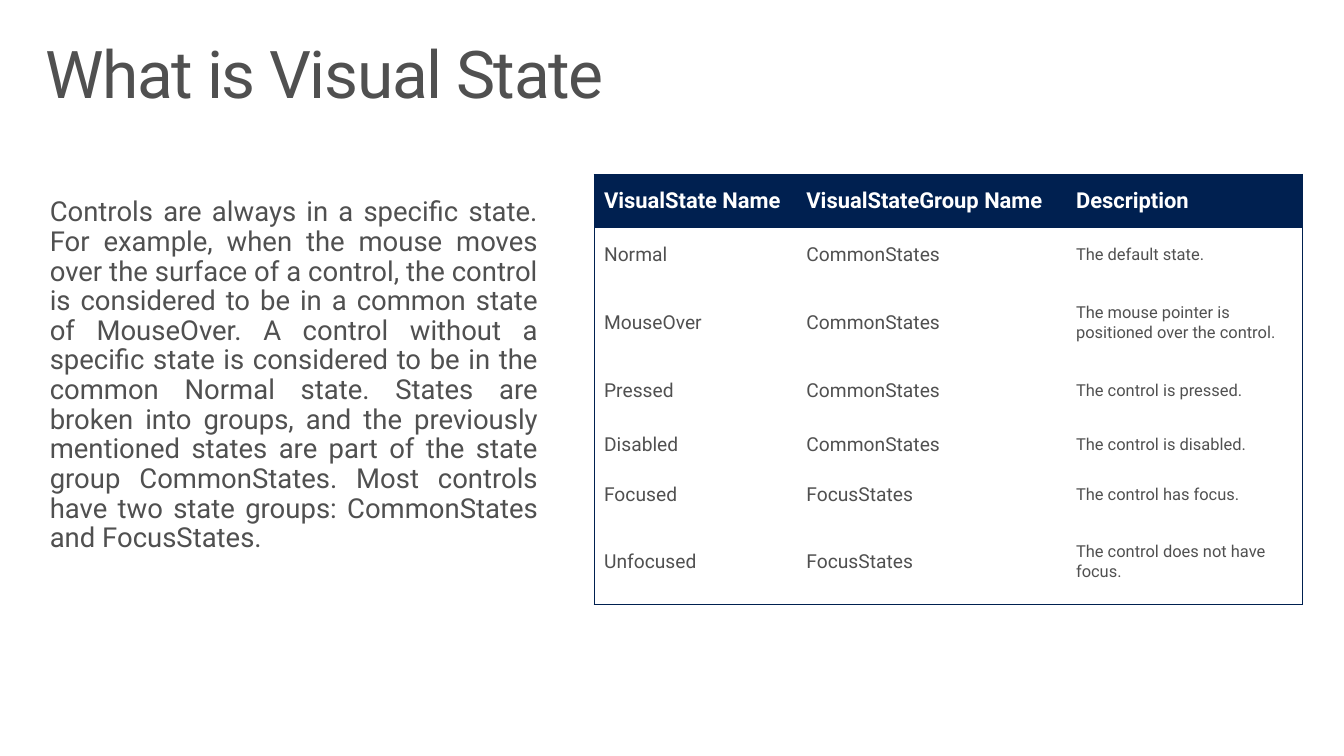
from lxml import etree
from pptx import Presentation
from pptx import util as u
from pptx.dml import color
from pptx.enum import text
from pptx.oxml import ns

GREY, NAVY, WHITE = "505050", "002050", "FFFFFF"
BODY = (
    "Controls are always in a specific state. For example, when the mouse moves "
    "over the surface of a control, the control is considered to be in a common "
    "state of MouseOver. A control without a specific state is considered to be "
    "in the common Normal state. States are broken into groups, and the previously "
    "mentioned states are part of the state group CommonStates. Most controls have "
    "two state groups: CommonStates and FocusStates."
)
HEAD = ("VisualState Name", "VisualStateGroup Name", "Description")
STATES = [
    ("Normal", "CommonStates", "The default state."),
    ("MouseOver", "CommonStates", "The mouse pointer is positioned over the control."),
    ("Pressed", "CommonStates", "The control is pressed."),
    ("Disabled", "CommonStates", "The control is disabled."),
    ("Focused", "FocusStates", "The control has focus."),
    ("Unfocused", "FocusStates", "The control does not have focus."),
]
COLS = (5.2, 6.93, 6.08)
ROWS = (1.38, 1.38, 2.12, 1.38, 1.38, 1.22, 2.21)


def rgb(code):
    return color.RGBColor.from_string(code)


class Deck:
    """Holds the style and the current slide, and draws its elements."""

    def __init__(self, wide, high, font):
        self.prs = Presentation()
        self.prs.slide_width, self.prs.slide_height = u.Cm(wide), u.Cm(high)
        self.slide = self.prs.slides.add_slide(self.prs.slide_layouts[6])
        self.font = font

    def run(self, para, words, size, tint=GREY, bold=False, track=0):
        run = para.add_run()
        run.text = words
        run.font.name, run.font.size, run.font.bold = self.font, u.Pt(size), bold
        run.font.color.rgb = rgb(tint)
        if track:
            run._r.get_or_add_rPr().set("spc", str(track * 100))

    def box(self, place, words, size, align, track=0):
        frame = self.slide.shapes.add_textbox(*map(u.Cm, place)).text_frame
        frame.word_wrap = True
        frame.margin_left = frame.margin_right = u.Cm(0.41)
        frame.margin_top = frame.margin_bottom = u.Cm(0.25)
        para = frame.paragraphs[0]
        para.alignment, para.line_spacing = align, 0.9
        self.run(para, words, size, track=track)

    def edge(self, cell, side, shown):
        line = etree.SubElement(cell._tc.get_or_add_tcPr(), ns.qn("a:ln" + side))
        if shown:
            line.set("w", str(u.Pt(0.75)))
            fill = etree.SubElement(line, ns.qn("a:solidFill"))
            etree.SubElement(fill, ns.qn("a:srgbClr")).set("val", NAVY)
        else:
            etree.SubElement(line, ns.qn("a:noFill"))

    def table(self, left, top, cols, rows, data):
        place = map(u.Cm, (left, top, sum(cols), sum(rows)))
        grid = self.slide.shapes.add_table(len(rows), len(cols), *place).table
        grid.horz_banding = False
        for col, wide in zip(grid.columns, cols):
            col.width = u.Cm(wide)
        for row, high in zip(grid.rows, rows):
            row.height = u.Cm(high)
        for r, line in enumerate(data):
            for c, words in enumerate(line):
                cell = grid.cell(r, c)
                outer = {"L": c == 0, "R": c == len(cols) - 1,
                         "T": r == 0, "B": r == len(rows) - 1}
                for side, shown in outer.items():
                    self.edge(cell, side, shown)
                cell.vertical_anchor = text.MSO_ANCHOR.MIDDLE
                para = cell.text_frame.paragraphs[0]
                if r == 0:
                    cell.fill.solid()
                    cell.fill.fore_color.rgb = rgb(NAVY)
                    self.run(para, words, 16, WHITE, bold=True)
                else:
                    cell.fill.background()
                    self.run(para, words, 12 if outer["R"] else 14)


def main():
    deck = Deck(34.54, 19.43, "Roboto")
    deck.box((0.76, 0.81, 33.02, 2.54), "What is Visual State", 48,
             text.PP_ALIGN.LEFT, track=-1)
    deck.box((0.87, 4.84, 13.37, 9.75), BODY, 20, text.PP_ALIGN.JUSTIFY)
    deck.table(15.27, 4.48, COLS, ROWS, [HEAD, *STATES])
    deck.prs.save("out.pptx")


if __name__ == "__main__":
    main()
